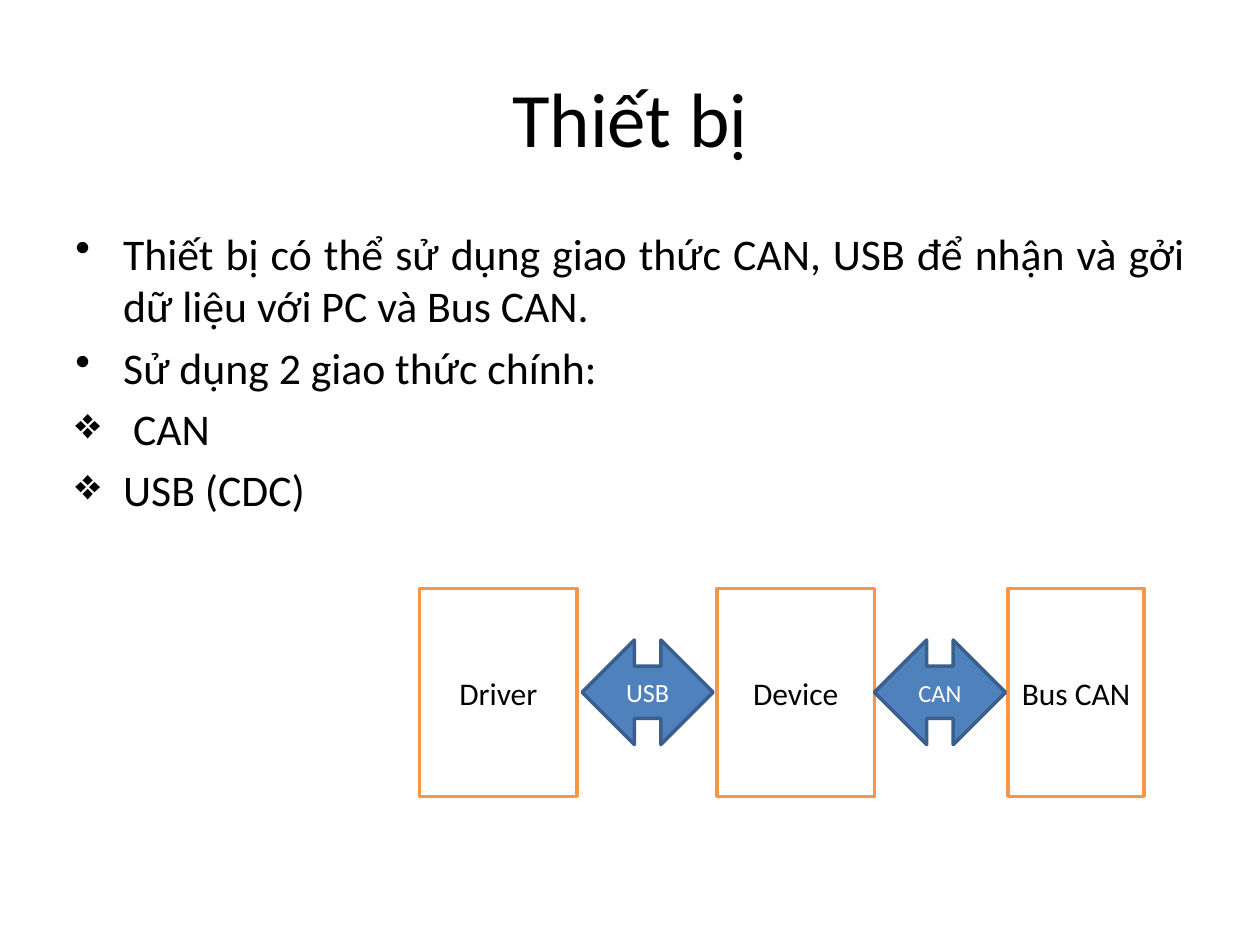
from lxml.etree import SubElement
from pptx import Presentation
from pptx.dml.color import RGBColor
from pptx.enum.shapes import MSO_SHAPE as Shape
from pptx.enum.text import MSO_ANCHOR as Anchor, PP_ALIGN as Align
from pptx.oxml.ns import qn
from pptx.util import Inches, Pt


def color(hex_code):
    return RGBColor.from_string(hex_code)


class SlideBuilder:
    font = "Calibri"
    ink = "000000"
    paper = "FFFFFF"
    box_line = "F79646"
    arrow_fill = "4F81BD"
    arrow_line = "3A5F8C"
    hanging = Inches(0.38)

    def __init__(self, slide):
        self.slide = slide

    def style(self, paragraph, size, ink, align):
        paragraph.alignment = align
        for run in paragraph.runs:
            run.font.name = self.font
            run.font.size = Pt(size)
            run.font.color.rgb = color(ink)

    def text_frame(self, left, top, width, height, anchor):
        area = self.slide.shapes.add_textbox(
            Inches(left), Inches(top), Inches(width), Inches(height))
        frame = area.text_frame
        frame.word_wrap = True
        frame.vertical_anchor = anchor
        return frame

    def title(self, text):
        frame = self.text_frame(0.5, 0.3, 9, 1.25, Anchor.MIDDLE)
        frame.text = text
        self.style(frame.paragraphs[0], 44, self.ink, Align.CENTER)

    def bullets(self, items):
        """Add the body; items are (bullet, text, alignment)."""
        frame = self.text_frame(0.5, 1.75, 9, 4.95, Anchor.TOP)
        frame.text = "\n".join(text for _, text, _ in items)
        for paragraph, (bullet, _, align) in zip(frame.paragraphs, items):
            self.style(paragraph, 25, self.ink, align)
            paragraph.space_before = Pt(5)
            properties = paragraph._p.get_or_add_pPr()
            properties.set("marL", str(self.hanging))
            properties.set("indent", str(-self.hanging))
            SubElement(properties, qn("a:buChar")).set("char", bullet)

    def labelled_shape(self, kind, label, place, fill, line, size, ink):
        shape = self.slide.shapes.add_shape(kind, *map(Inches, place))
        shape.shadow.inherit = False
        shape.fill.solid()
        shape.fill.fore_color.rgb = color(fill)
        shape.line.color.rgb = color(line)
        shape.line.width = Pt(2)
        frame = shape.text_frame
        frame.margin_left = frame.margin_right = 0
        frame.vertical_anchor = Anchor.MIDDLE
        frame.text = label
        self.style(frame.paragraphs[0], size, ink, Align.CENTER)

    def block(self, label, left, width):
        self.labelled_shape(Shape.RECTANGLE, label, (left, 4.67, width, 1.65),
                            self.paper, self.box_line, 18, self.ink)

    def link(self, label, left, size):
        self.labelled_shape(Shape.LEFT_RIGHT_ARROW, label,
                            (left, 5.08, 1.04, 0.83),
                            self.arrow_fill, self.arrow_line, size, self.paper)


def main():
    deck = Presentation()
    deck.slide_width, deck.slide_height = Inches(10), Inches(7.5)
    builder = SlideBuilder(deck.slides.add_slide(deck.slide_layouts[6]))

    builder.title("Thiết bị")
    builder.bullets([
        ("•", "Thiết bị có thể sử dụng giao thức CAN, USB để nhận và gởi "
              "dữ liệu với PC và Bus CAN.", Align.JUSTIFY),
        ("•", "Sử dụng 2 giao thức chính:", Align.LEFT),
        ("❖", " CAN", Align.LEFT),
        ("❖", "USB (CDC)", Align.LEFT),
    ])

    for label, left, width in [("Device", 5.69, 1.25),
                               ("Bus CAN", 8, 1.08),
                               ("Driver", 3.33, 1.25)]:
        builder.block(label, left, width)
    for label, left, size in [("USB", 4.62, 15), ("CAN", 6.94, 14)]:
        builder.link(label, left, size)

    deck.save("out.pptx")


if __name__ == "__main__":
    main()
